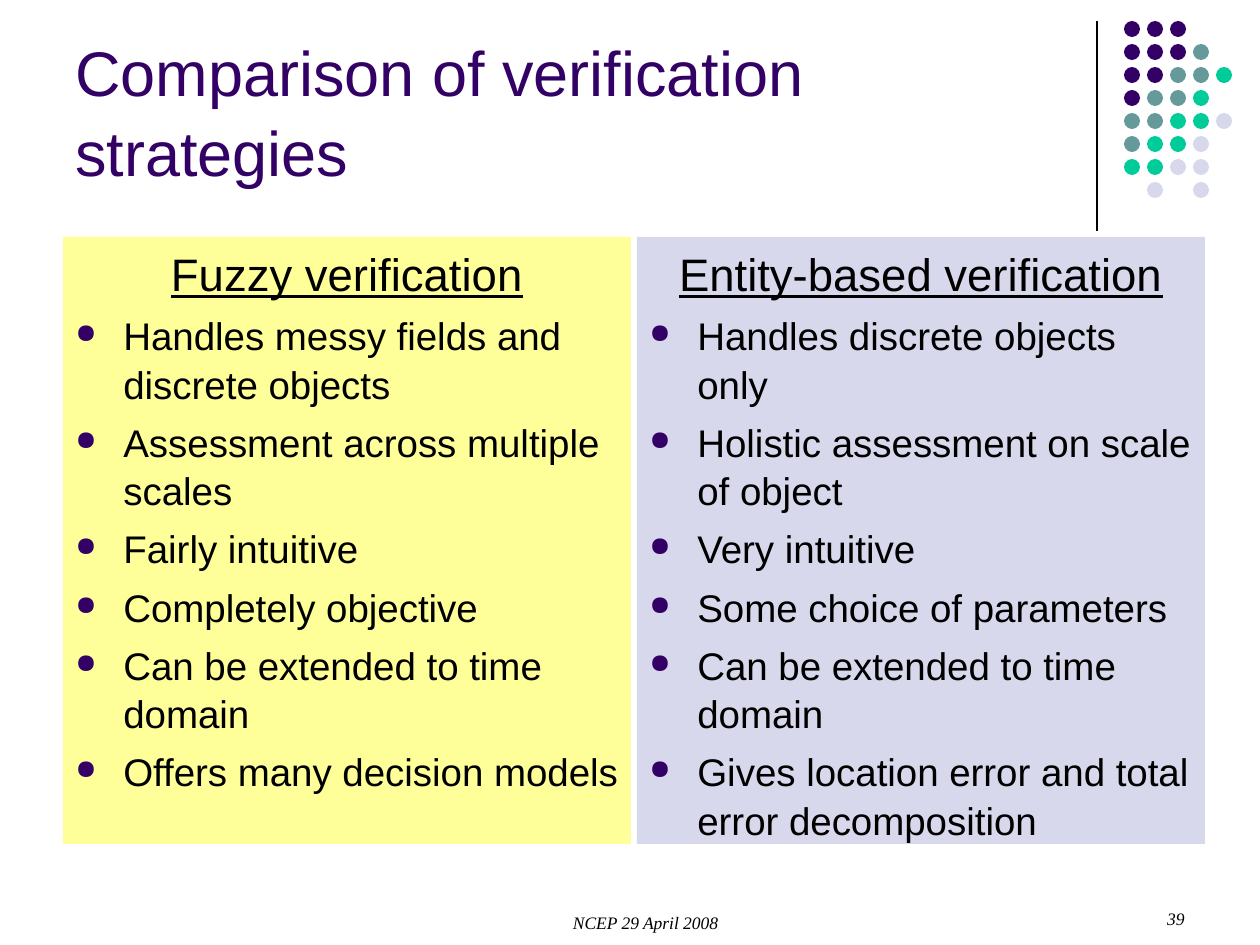
from dataclasses import dataclass
from lxml.etree import SubElement
from pptx import Presentation
from pptx.dml.color import RGBColor
from pptx.enum.shapes import MSO_CONNECTOR, MSO_SHAPE
from pptx.enum.text import MSO_ANCHOR, PP_ALIGN
from pptx.oxml.ns import qn
from pptx.util import Emu, Pt

SCALE = 914400 / 126


def px(count):
    return Emu(round(count * SCALE))


@dataclass(frozen=True)
class Theme:
    ink: str = "000000"
    plum: str = "330066"
    slate: str = "669999"
    mint: str = "00CC99"
    mist: str = "D8D8EC"
    lemon: str = "FFFF99"
    sans: str = "Arial"
    serif: str = "Times New Roman"
    title: int = 36
    head: int = 26
    body: int = 22
    foot: int = 10
    lead: float = 1.05


class Deck:
    def __init__(self, theme):
        self.theme = theme
        self.file = Presentation()
        self.file.slide_width, self.file.slide_height = px(1260), px(945)
        self.slide = self.file.slides.add_slide(self.file.slide_layouts[6])

    def style(self, para, size, face, color):
        font = para.font
        font.size, font.name = Pt(size), face
        font.color.rgb = RGBColor.from_string(color)
        return font

    def frame(self, shape):
        frame = shape.text_frame
        frame.word_wrap = True
        frame.margin_left = frame.margin_right = Pt(7.2)
        frame.margin_top = frame.margin_bottom = Pt(3.6)
        return frame

    def shape(self, host, kind, box, color):
        shape = host.add_shape(kind, *map(px, box))
        shape.shadow.inherit = False
        shape.fill.solid()
        shape.fill.fore_color.rgb = RGBColor.from_string(color)
        shape.line.fill.background()
        return shape

    def rule(self, x, top, end):
        line = self.slide.shapes.add_connector(
            MSO_CONNECTOR.STRAIGHT, px(x), px(top), px(x), px(end))
        line.line.width = Pt(0.75)
        line.line.color.rgb = RGBColor.from_string(self.theme.ink)
        SubElement(line._element.spPr, qn("a:effectLst"))

    def dots(self, left, top, step, size, rows):
        t = self.theme
        shades = {"p": t.plum, "s": t.slate, "m": t.mint, "l": t.mist}
        group = self.slide.shapes.add_group_shape()
        for row, line in enumerate(rows):
            for col, key in enumerate(line):
                if key in shades:
                    box = (left + col * step, top + row * step, size, size)
                    self.shape(group.shapes, MSO_SHAPE.OVAL, box, shades[key])

    def title(self, box, text):
        t = self.theme
        frame = self.frame(self.slide.shapes.add_textbox(*map(px, box)))
        frame.vertical_anchor = MSO_ANCHOR.BOTTOM
        para = frame.paragraphs[0]
        para.text, para.line_spacing = text, t.lead
        self.style(para, t.title, t.sans, t.plum)

    def bullet(self, para):
        props = para._p.get_or_add_pPr()
        props.set("marL", str(px(48)))
        props.set("indent", str(-px(48)))
        tint = SubElement(props, qn("a:buClr"))
        SubElement(tint, qn("a:srgbClr"), val=self.theme.plum)
        SubElement(props, qn("a:buSzPct"), val="70000")
        SubElement(props, qn("a:buChar"), char="●")

    def panel(self, box, color, head, points):
        t = self.theme
        shape = self.shape(self.slide.shapes, MSO_SHAPE.RECTANGLE, box, color)
        frame = self.frame(shape)
        frame.vertical_anchor = MSO_ANCHOR.TOP
        para = frame.paragraphs[0]
        para.text, para.alignment = head, PP_ALIGN.CENTER
        para.line_spacing = t.lead
        self.style(para, t.head, t.sans, t.ink).underline = True
        for point in points:
            para = frame.add_paragraph()
            self.bullet(para)
            para.text, para.alignment = point, PP_ALIGN.LEFT
            para.line_spacing, para.space_before = t.lead, Pt(5.5)
            self.style(para, t.body, t.sans, t.ink)

    def foot(self, box, text, align):
        t = self.theme
        frame = self.frame(self.slide.shapes.add_textbox(*map(px, box)))
        para = frame.paragraphs[0]
        para._p.get_or_add_pPr().set("marL", str(px(30)))
        para.text, para.alignment = text, align
        self.style(para, t.foot, t.serif, t.ink).italic = True


def main():
    theme = Theme()
    deck = Deck(theme)
    deck.rule(1097, 21, 231)
    deck.dots(1124, 21, 23, 16, [
        "ppp", "ppps", "ppssm", "pssm", "ssmml", "smml", "mmll", ".l.l"])
    deck.title((63, 16, 1040, 179), "Comparison of verification strategies")
    panels = [
        (theme.lemon, "Fuzzy verification", [
            "Handles messy fields and discrete objects",
            "Assessment across multiple scales",
            "Fairly intuitive",
            "Completely objective",
            "Can be extended to time domain",
            "Offers many decision models"]),
        (theme.mist, "Entity-based verification", [
            "Handles discrete objects only",
            "Holistic assessment on scale of object",
            "Very intuitive",
            "Some choice of parameters",
            "Can be extended to time domain",
            "Gives location error and total error decomposition"]),
    ]
    for col, panel in enumerate(panels):
        deck.panel((63 + col * 574, 237, 568, 607), *panel)
    deck.foot((431, 906, 399, 33), "NCEP 29 April 2008", PP_ALIGN.CENTER)
    deck.foot((903, 902, 294, 34), "39", PP_ALIGN.RIGHT)
    deck.file.save("out.pptx")


if __name__ == "__main__":
    main()
